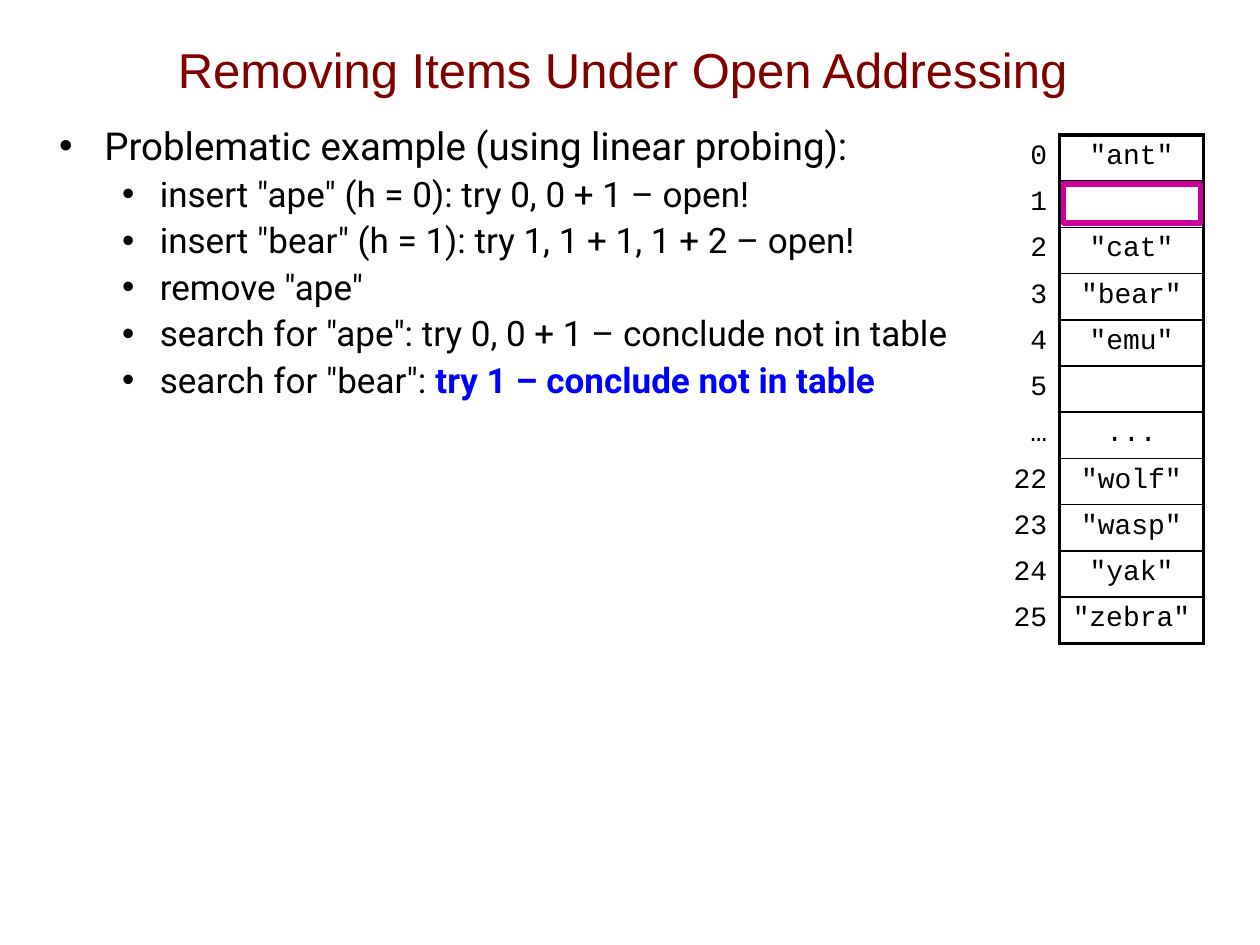
import pptx
import pptx.util
import pptx.dml.color
import pptx.enum.shapes
import pptx.enum.text
import pptx.oxml
import pptx.oxml.ns

Inches, Pt = pptx.util.Inches, pptx.util.Pt
ALIGN = pptx.enum.text.PP_ALIGN
ANCHOR = pptx.enum.text.MSO_ANCHOR


def style(font, name, size, color):
    font.name = name
    font.size = Pt(size)
    font.color.rgb = pptx.dml.color.RGBColor.from_string(color)


def add_xml(parent, xml):
    namespace = pptx.oxml.ns.nsdecls("a")
    parent.append(pptx.oxml.parse_xml(xml.replace(" ", f" {namespace} ", 1)))


deck = pptx.Presentation()
deck.slide_width, deck.slide_height = Inches(10), Inches(7.5)
page = deck.slides.add_slide(deck.slide_layouts[5])

# Title
title = page.shapes.title
title.left, title.top = Inches(0.64), Inches(0.08)
title.width, title.height = Inches(8.6), Inches(0.93)
title.text_frame.text = "Removing Items Under Open Addressing"
title.text_frame.vertical_anchor = ANCHOR.MIDDLE
para = title.text_frame.paragraphs[0]
para.alignment = ALIGN.CENTER
style(para.font, "Arial", 28, "800000")

# Bulleted example: level, text, emphasised ending
steps = [
    (0, "Problematic example (using linear probing):", ""),
    (1, 'insert "ape" (h = 0): try 0, 0 + 1 – open!', ""),
    (1, 'insert "bear" (h = 1): try 1, 1 + 1, 1 + 2 – open!', ""),
    (1, 'remove "ape"', ""),
    (1, 'search for "ape": try 0, 0 + 1 – conclude not in table', ""),
    (1, 'search for "bear": ', "try 1 – conclude not in table"),
]
box = page.shapes.add_textbox(Inches(0.37), Inches(0.92), Inches(9.25), Inches(6.14))
frame = box.text_frame
frame.word_wrap = True
for index, (level, text, ending) in enumerate(steps):
    para = frame.paragraphs[0] if index == 0 else frame.add_paragraph()
    para.level = level
    if level:
        para.line_spacing = 0.9
        para.space_before = Pt(5)
    indent, hanging = [(0.36, 0.36), (0.8, 0.3)][level]
    properties = para._p.get_or_add_pPr()
    properties.set("marL", str(Inches(indent)))
    properties.set("indent", str(-Inches(hanging)))
    add_xml(properties, '<a:buClr ><a:srgbClr val="000000"/></a:buClr>')
    add_xml(properties, '<a:buFont typeface="Arial"/>')
    add_xml(properties, '<a:buChar char="•"/>')
    spans = [(text, "000000", False)]
    if ending:
        spans.append((ending, "0000FF", True))
        for words, color, bold in spans:
            span = para.add_run()
            span.text = words
            style(span.font, "Roboto", 20, color)
            span.font.bold = bold
    else:
        para.text = text
        style(para.font, "Roboto", [22, 20][level], "000000")

# Hash table: position and key
entries = [
    ("0", '"ant"'), ("1", ""), ("2", '"cat"'), ("3", '"bear"'),
    ("4", '"emu"'), ("5", ""), ("…", "..."), ("22", '"wolf"'),
    ("23", '"wasp"'), ("24", '"yak"'), ("25", '"zebra"'),
]
last = len(entries) - 1
table = page.shapes.add_table(
    len(entries), 2, Inches(7.26), Inches(1.07), Inches(2.29), Inches(4.03)
).table
table.first_row = table.horz_banding = False
no_style = "{2D5ABB26-0587-4C30-8999-92F81FD0307C}"
table._tbl.tblPr.find(pptx.oxml.ns.qn("a:tableStyleId")).text = no_style
table.columns[0].width, table.columns[1].width = Inches(1.15), Inches(1.14)
for row, entry in enumerate(entries):
    for column, text in enumerate(entry):
        cell = table.cell(row, column)
        if text:
            cell.text = text
            para = cell.text_frame.paragraphs[0]
            para.alignment = [ALIGN.RIGHT, ALIGN.CENTER][column]
            style(para.font, "Courier New", 16, "000000")
        else:
            cell.margin_top = cell.margin_bottom = 0
        if column == 0:
            borders = {"R": 2.25}
        else:
            borders = {
                "L": 2.25,
                "R": 2.25,
                "T": 2.25 if row == 0 else 1,
                "B": 2.25 if row == last else 1,
            }
        for side, width in borders.items():
            add_xml(
                cell._tc.get_or_add_tcPr(),
                f'<a:ln{side} w="{Pt(width)}"><a:solidFill>'
                f'<a:srgbClr val="000000"/></a:solidFill></a:ln{side}>',
            )
        cell.fill.background()

# Highlight around the emptied position
highlight = page.shapes.add_shape(
    pptx.enum.shapes.MSO_SHAPE.RECTANGLE,
    Inches(8.44), Inches(1.46), Inches(1.09), Inches(0.31),
)
highlight.shadow.inherit = False
highlight.fill.background()
highlight.line.color.rgb = pptx.dml.color.RGBColor.from_string("CC0099")
highlight.line.width = Pt(3)

deck.save("out.pptx")
